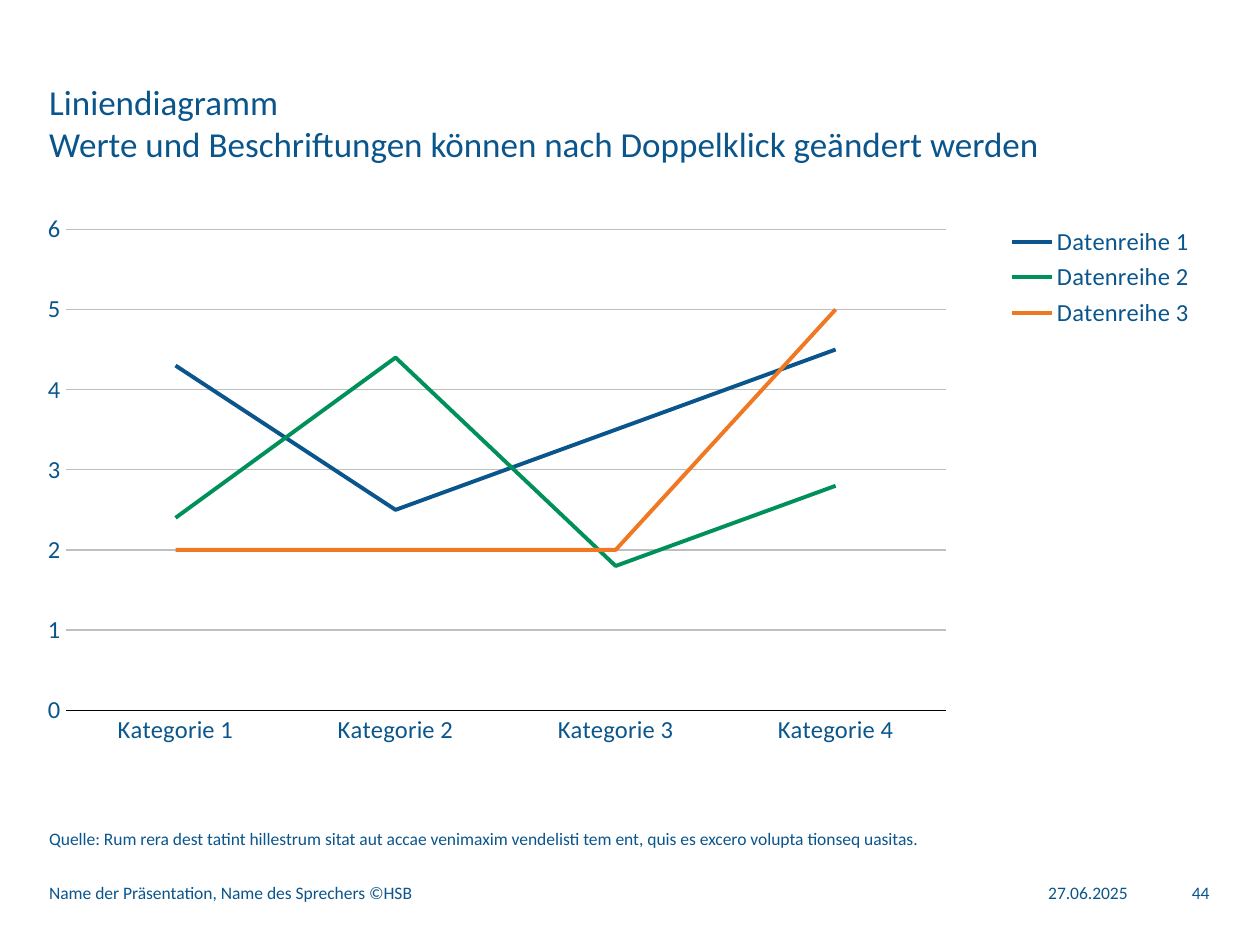
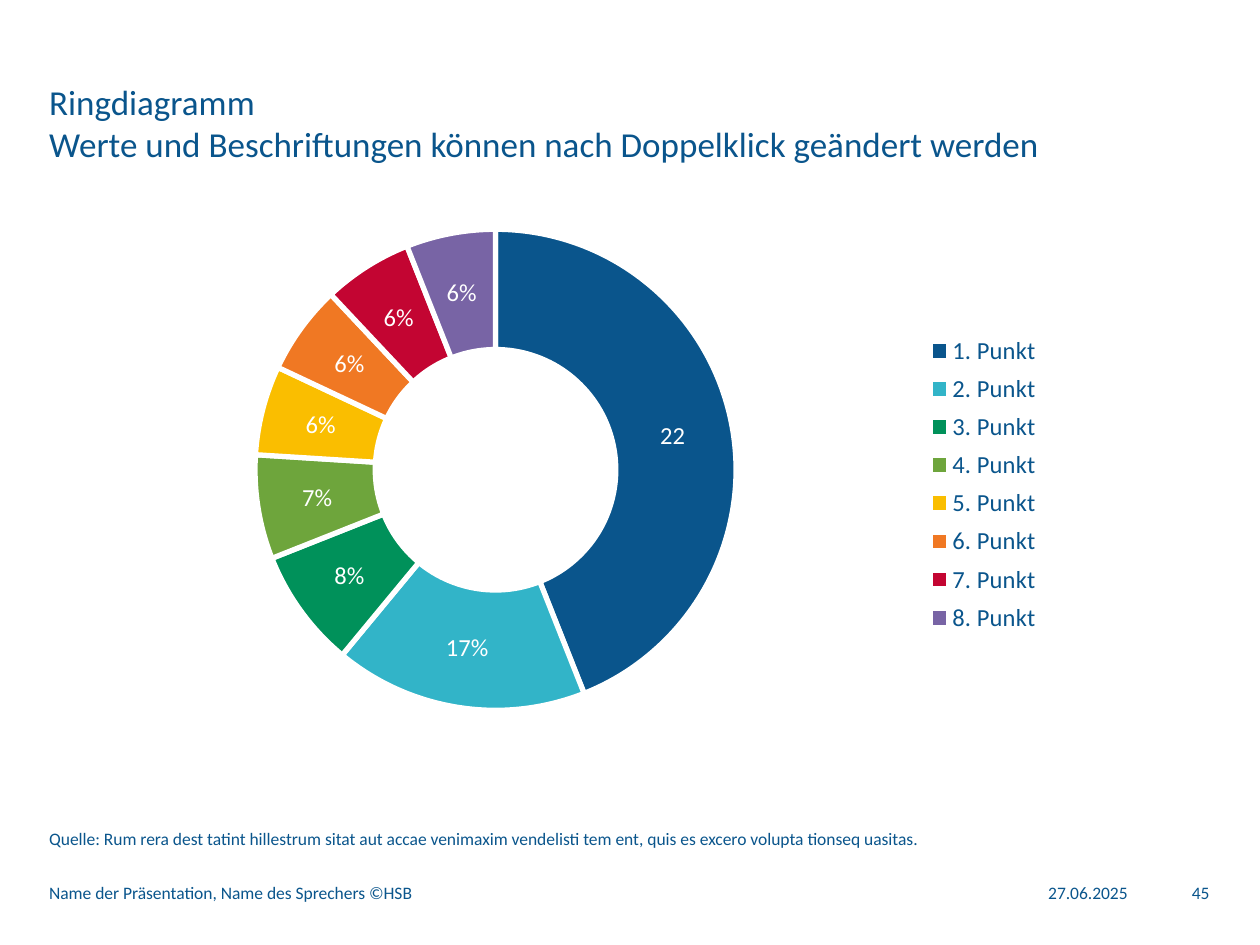
import pptx
import pptx.util
import pptx.chart.data
from pptx.dml.color import RGBColor
from pptx.enum.chart import XL_CHART_TYPE, XL_LEGEND_POSITION, XL_MARKER_STYLE, XL_TICK_MARK
from pptx.enum.text import MSO_ANCHOR, MSO_AUTO_SIZE, PP_ALIGN
from pptx.oxml import parse_xml
from pptx.oxml.ns import nsdecls, qn

Pt = pptx.util.Pt
FONT = "Calibri"
HUES = {
    "blue": "0A558C", "cyan": "32B4C8", "green": "00915A", "lime": "6EA53C",
    "yellow": "FABE00", "orange": "F07823", "red": "C30532", "violet": "7864A5",
    "grey": "BFBFBF", "black": "000000", "white": "FFFFFF",
}
WIDE, HIGH = pptx.util.Inches(10), pptx.util.Inches(7.5)

# Places in percent of the slide: left, top, width, height
SPOTS = {
    "title": (3.9, 8.53, 92.1, 8.93),
    "chart": (3.8, 21.07, 92.3, 59.2),
    "source": (3.9, 87.2, 92.2, 2.67),
    "date": (81.1, 93.2, 8.4, 2.4),
    "foot": (3.9, 93.2, 74.4, 2.4),
    "page": (91.7, 93.2, 4.3, 2.4),
}
LEAD = "Werte und Beschriftungen können nach Doppelklick geändert werden"
SOURCE = ("Quelle: Rum rera dest tatint hillestrum sitat aut accae venimaxim "
          "vendelisti tem ent, quis es excero volupta tionseq uasitas.")
FOOT = "Name der Präsentation, Name des Sprechers ©HSB"
DATE = "27.06.2025"


def hue(name):
    return RGBColor.from_string(HUES[name])


def place(spot):
    """Turn a named spot into lengths on the slide."""
    return [int(part * full / 100)
            for part, full in zip(SPOTS[spot], (WIDE, HIGH, WIDE, HIGH))]


def style(font, size=14, color="blue"):
    font.name, font.size, font.bold = FONT, Pt(size), False
    font.color.rgb = hue(color)


def write(shape, text, size=10, align=PP_ALIGN.LEFT, anchor=MSO_ANCHOR.MIDDLE):
    frame = shape.text_frame
    frame.text = text
    frame.word_wrap = True
    frame.auto_size = MSO_AUTO_SIZE.NONE
    frame.vertical_anchor = anchor
    frame.margin_left = frame.margin_right = 0
    frame.margin_top = frame.margin_bottom = 0
    para = frame.paragraphs[0]
    para.alignment = align
    for run in para.runs:
        style(run.font, size)


def add_text(slide, spot, text, **form):
    write(slide.shapes.add_textbox(*place(spot)), text, **form)


def add_page(deck, head, number):
    """Slide with the shared title, source line and footer."""
    slide = deck.slides.add_slide(deck.slide_layouts[5])
    title = slide.shapes.title
    title.left, title.top, title.width, title.height = place("title")
    write(title, f"{head}\v{LEAD}", size=20, anchor=MSO_ANCHOR.TOP)
    add_text(slide, "source", SOURCE, anchor=MSO_ANCHOR.BOTTOM)
    add_text(slide, "date", DATE, align=PP_ALIGN.RIGHT)
    add_text(slide, "foot", FOOT)
    add_text(slide, "page", str(number), align=PP_ALIGN.RIGHT)
    return slide


def set_layout(node, x, y, w, h, inner=False):
    """Fix a chart part at shares of the chart's area."""
    for old in node.findall(qn("c:layout")):
        node.remove(old)
    target = '<c:layoutTarget val="inner"/>' if inner else ""
    modes = "".join(f'<c:{axis}Mode val="edge"/>' for axis in "xy")
    sizes = "".join(f'<c:{key} val="{val}"/>' for key, val in zip("xywh", (x, y, w, h)))
    layout = parse_xml(f'<c:layout {nsdecls("c")}><c:manualLayout>'
                       f'{target}{modes}{sizes}</c:manualLayout></c:layout>')
    node.insert(0 if inner else 1, layout)


def add_chart(slide, kind, cats, rows, plot, key, form="General"):
    data = pptx.chart.data.CategoryChartData(number_format=form)
    data.categories = cats
    for name, vals in rows:
        data.add_series(name, vals)
    chart = slide.shapes.add_chart(kind, *place("chart"), data).chart
    chart.has_title = False
    style(chart.font)
    chart.has_legend = True
    legend = chart.legend
    legend.position = XL_LEGEND_POSITION.RIGHT
    legend.include_in_layout = False
    style(legend.font)
    set_layout(chart.plots[0]._element.getparent(), *plot, inner=True)
    set_layout(legend._element, *key)
    return chart


def add_lines(slide):
    rows = [("Datenreihe 1", (4.3, 2.5, 3.5, 4.5)),
            ("Datenreihe 2", (2.4, 4.4, 1.8, 2.8)),
            ("Datenreihe 3", (2, 2, 2, 5))]
    cats = [f"Kategorie {num}" for num in range(1, 5)]
    chart = add_chart(slide, XL_CHART_TYPE.LINE, cats, rows,
                      plot=(0.015, 0.054, 0.757, 0.86), key=(0.82, 0.04, 0.17, 0.2))
    for row, color in zip(chart.series, ("blue", "green", "orange")):
        row.smooth = False
        row.marker.style = XL_MARKER_STYLE.NONE
        row.format.line.color.rgb = hue(color)
        row.format.line.width = Pt(2.25)
    chart.plots[0].vary_by_categories = False

    # Axes
    base, side = chart.category_axis, chart.value_axis
    for axis in (base, side):
        axis.major_tick_mark = axis.minor_tick_mark = XL_TICK_MARK.NONE
        style(axis.tick_labels.font)
    base.format.line.color.rgb = hue("black")
    base.format.line.width = Pt(0.75)
    side.minimum_scale, side.maximum_scale, side.major_unit = 0, 6, 1
    side.format.line.fill.background()
    grid = side.major_gridlines.format.line
    grid.color.rgb, grid.width = hue("grey"), Pt(0.75)


def add_ring(slide):
    colors = ("blue", "cyan", "green", "lime", "yellow", "orange", "red", "violet")
    vals = (0.44, 0.17, 0.08, 0.07, 0.06, 0.06, 0.06, 0.06)
    cats = [f"{num}. Punkt" for num in range(1, len(vals) + 1)]
    chart = add_chart(slide, XL_CHART_TYPE.DOUGHNUT, cats, [("Series 1", vals)],
                      plot=(0.002, 0.054, 0.766, 0.86), key=(0.74, 0.23, 0.13, 0.56),
                      form="0%")
    plot = chart.plots[0]
    plot.vary_by_categories = True
    plot._element.find(qn("c:holeSize")).set("val", "60")
    row = plot.series[0]
    for num, color in enumerate(colors):
        form = row.points[num].format
        form.fill.solid()
        form.fill.fore_color.rgb = hue(color)
        form.line.color.rgb, form.line.width = hue("white"), Pt(3)

    # Labels, the first one with its own text
    labels = row.data_labels
    labels.show_value = True
    labels.show_percentage = False
    labels.number_format, labels.number_format_is_linked = "0%", False
    style(labels.font, color="white")
    frame = row.points[0].data_label.text_frame
    frame.text = "22"
    style(frame.paragraphs[0].runs[0].font, color="white")


def main():
    deck = pptx.Presentation()
    deck.slide_width, deck.slide_height = WIDE, HIGH
    add_lines(add_page(deck, "Liniendiagramm", 44))
    add_ring(add_page(deck, "Ringdiagramm", 45))
    deck.save("out.pptx")


if __name__ == "__main__":
    main()
